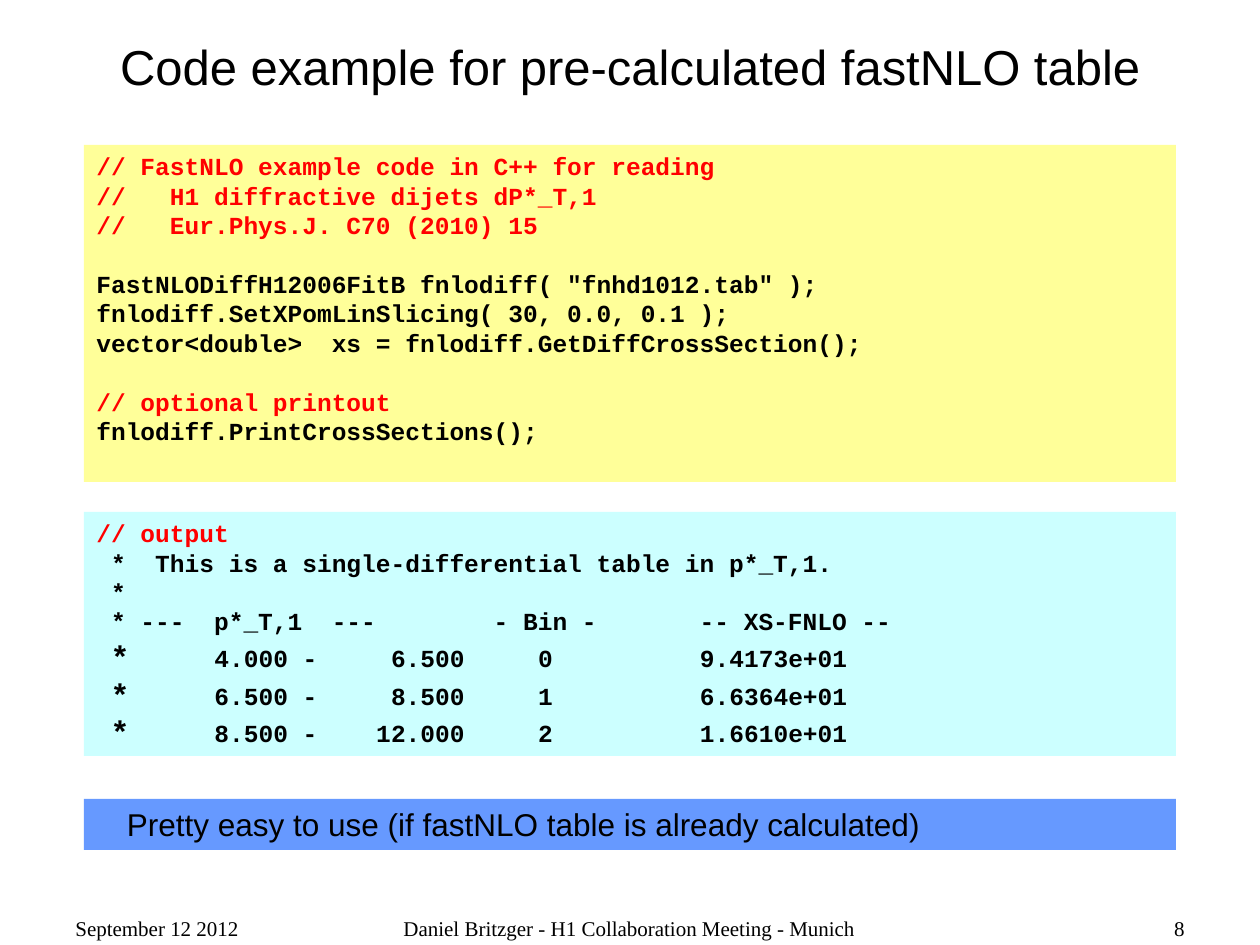
import pptx
import pptx.util
from pptx.dml.color import RGBColor
from pptx.enum.shapes import MSO_SHAPE
from pptx.enum.text import MSO_ANCHOR, PP_ALIGN

PX_PER_INCH = 126
BLACK = RGBColor(0x00, 0x00, 0x00)
RED = RGBColor(0xFF, 0x00, 0x00)
YELLOW = RGBColor(0xFF, 0xFF, 0x99)
CYAN = RGBColor(0xCC, 0xFF, 0xFF)
BLUE = RGBColor(0x66, 0x99, 0xFF)

MONO, SANS, SERIF = "Courier New", "Arial", "Times New Roman"
PANEL_LEFT, PANEL_WIDTH = 84, 1092
BLANK_LINE = 16.8  # points

# Groups of code lines, parted by a blank line
CODE = [
    [
        "// FastNLO example code in C++ for reading",
        "//   H1 diffractive dijets dP*_T,1",
        "//   Eur.Phys.J. C70 (2010) 15",
    ],
    [
        'FastNLODiffH12006FitB fnlodiff( "fnhd1012.tab" );',
        "fnlodiff.SetXPomLinSlicing( 30, 0.0, 0.1 );",
        "vector<double>  xs = fnlodiff.GetDiffCrossSection();",
    ],
    [
        "// optional printout",
        "fnlodiff.PrintCrossSections();",
    ],
]
OUTPUT = [
    "// output",
    " *  This is a single-differential table in p*_T,1.",
    " *",
    " * ---  p*_T,1  ---        - Bin -       -- XS-FNLO --",
]
OUTPUT_ROWS = [
    "      4.000 -     6.500     0          9.4173e+01",
    "      6.500 -     8.500     1          6.6364e+01",
    "      8.500 -    12.000     2          1.6610e+01",
]


def px(n):
    return pptx.util.Emu(round(n * 914400 / PX_PER_INCH))


def box(*lengths):
    return [px(n) for n in lengths]


def set_font(font, name, size, color=BLACK, bold=False):
    font.name = name
    font.size = pptx.util.Pt(size)
    font.color.rgb = color
    font.bold = bold


def next_paragraph(tf):
    """Return the empty first paragraph, or a new one."""
    first = tf.paragraphs[0]
    p = first if not first.runs else tf.add_paragraph()
    p.alignment = PP_ALIGN.LEFT
    return p


def add_panel(s, top, height, color):
    sp = s.shapes.add_shape(
        MSO_SHAPE.RECTANGLE, *box(PANEL_LEFT, top, PANEL_WIDTH, height))
    sp.shadow.inherit = False
    sp.fill.solid()
    sp.fill.fore_color.rgb = color
    sp.line.fill.background()
    tf = sp.text_frame
    tf.word_wrap = True
    tf.vertical_anchor = MSO_ANCHOR.TOP
    return tf


def add_code_line(tf, text):
    p = next_paragraph(tf)
    p.add_run().text = text
    set_font(p.font, MONO, 14, RED if text.startswith("//") else BLACK, True)
    return p


def add_output_row(tf, values):
    p = next_paragraph(tf)
    for text, name, size, bold in (
            ("  ", SANS, 18, False), ("*", SANS, 18, True),
            (values, MONO, 14, True)):
        r = p.add_run()
        r.text = text
        set_font(r.font, name, size, bold=bold)


def add_footer(s, left, width, text, align):
    tf = s.shapes.add_textbox(*box(left, 909, width, 29)).text_frame
    tf.word_wrap = True
    p = tf.paragraphs[0]
    p.text = text
    p.alignment = align
    set_font(p.font, SERIF, 12)


def set_title(s, text):
    title = s.shapes.title
    title.left, title.top, title.width, title.height = box(64, 7, 1132, 118)
    tf = title.text_frame
    tf.vertical_anchor = MSO_ANCHOR.MIDDLE
    p = tf.paragraphs[0]
    p.text = text
    p.alignment = PP_ALIGN.CENTER
    set_font(p.font, SANS, 28)


def main():
    prs = pptx.Presentation()
    prs.slide_width, prs.slide_height = box(1260, 945)
    s = prs.slides.add_slide(prs.slide_layouts[5])
    set_title(s, "Code example for pre-calculated fastNLO table")

    # Source code
    tf = add_panel(s, 145, 337, YELLOW)
    for i, group in enumerate(CODE):
        for j, line in enumerate(group):
            p = add_code_line(tf, line)
            if i and j == 0:
                p.space_before = pptx.util.Pt(BLANK_LINE)

    # Program output
    tf = add_panel(s, 512, 244, CYAN)
    for line in OUTPUT:
        add_code_line(tf, line)
    for values in OUTPUT_ROWS:
        add_output_row(tf, values)

    # Conclusion
    tf = add_panel(s, 799, 51, BLUE)
    tf.margin_left = px(43)
    p = next_paragraph(tf)
    p.text = "Pretty easy to use (if fastNLO table is already calculated)"
    set_font(p.font, SANS, 18)

    # Footer
    add_footer(s, 63, 294, "September 12 2012", PP_ALIGN.LEFT)
    add_footer(s, 372, 515,
               "Daniel Britzger - H1 Collaboration Meeting - Munich",
               PP_ALIGN.CENTER)
    add_footer(s, 903, 294, "8", PP_ALIGN.RIGHT)

    prs.save("out.pptx")


if __name__ == "__main__":
    main()
